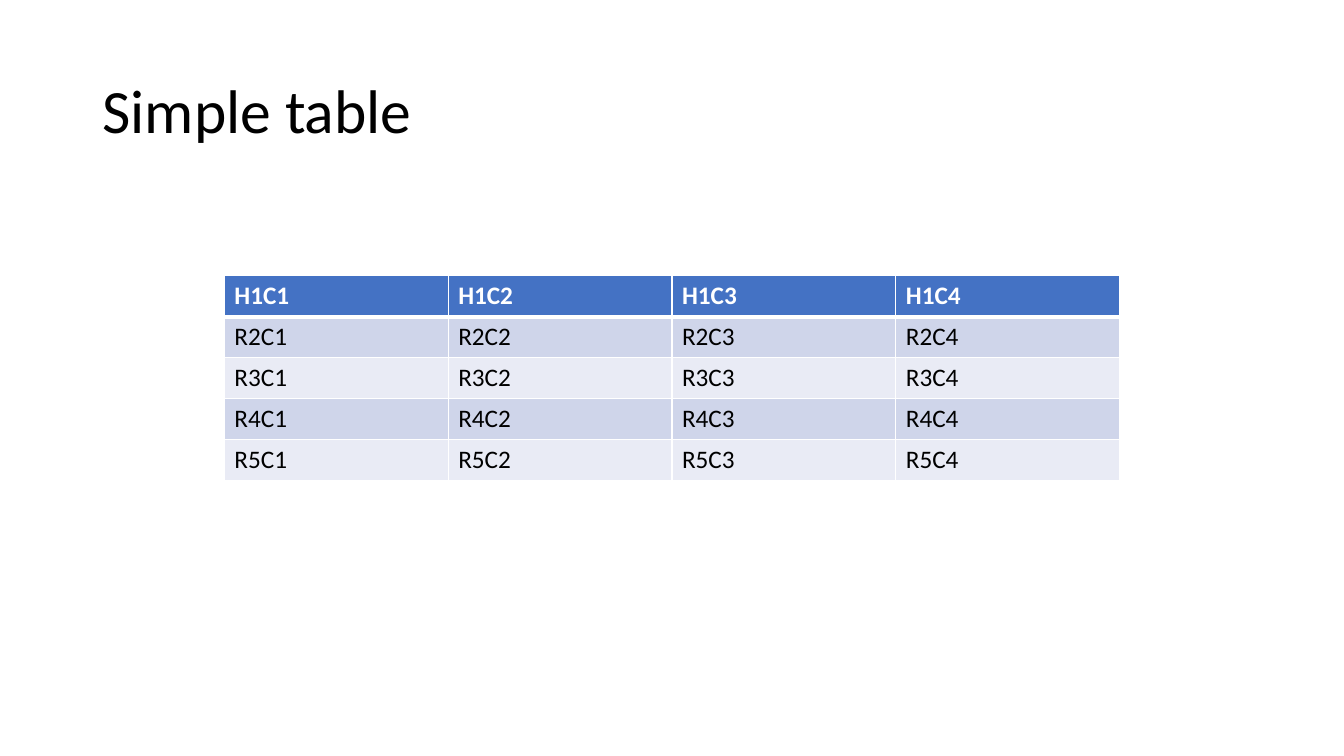
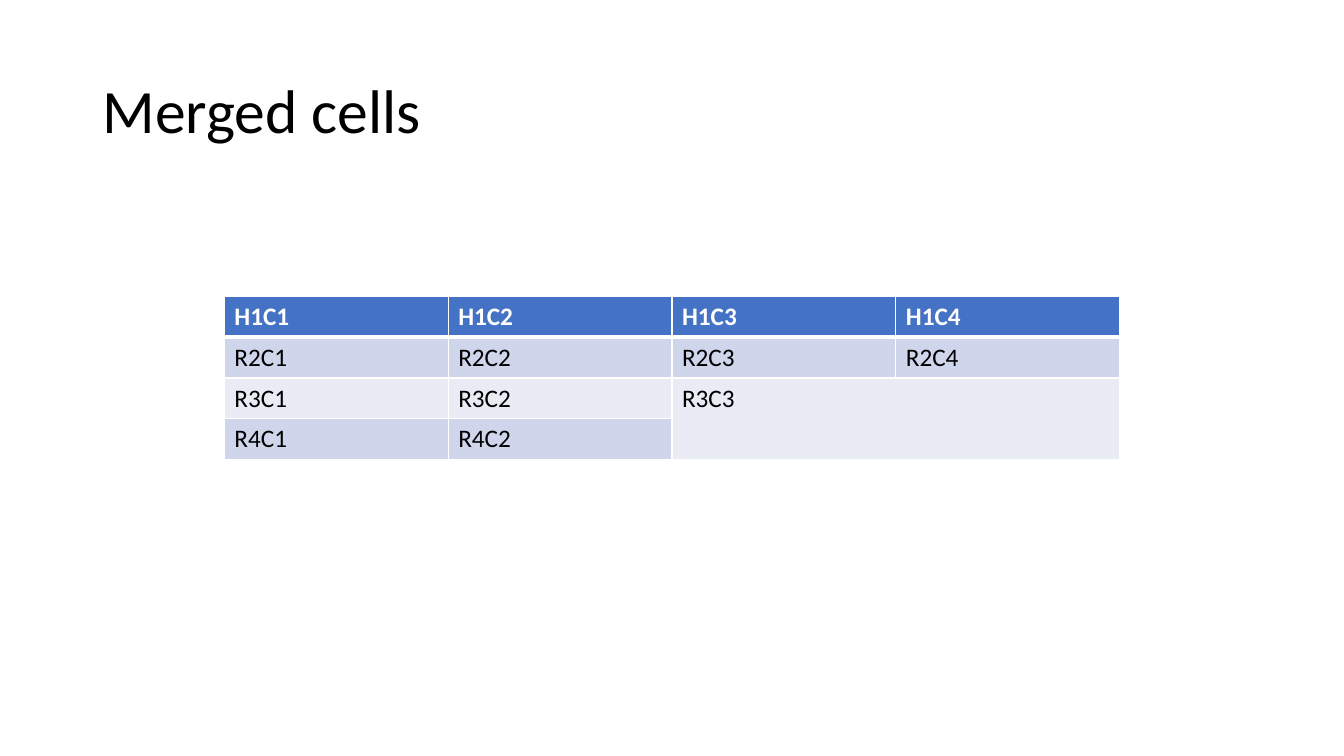
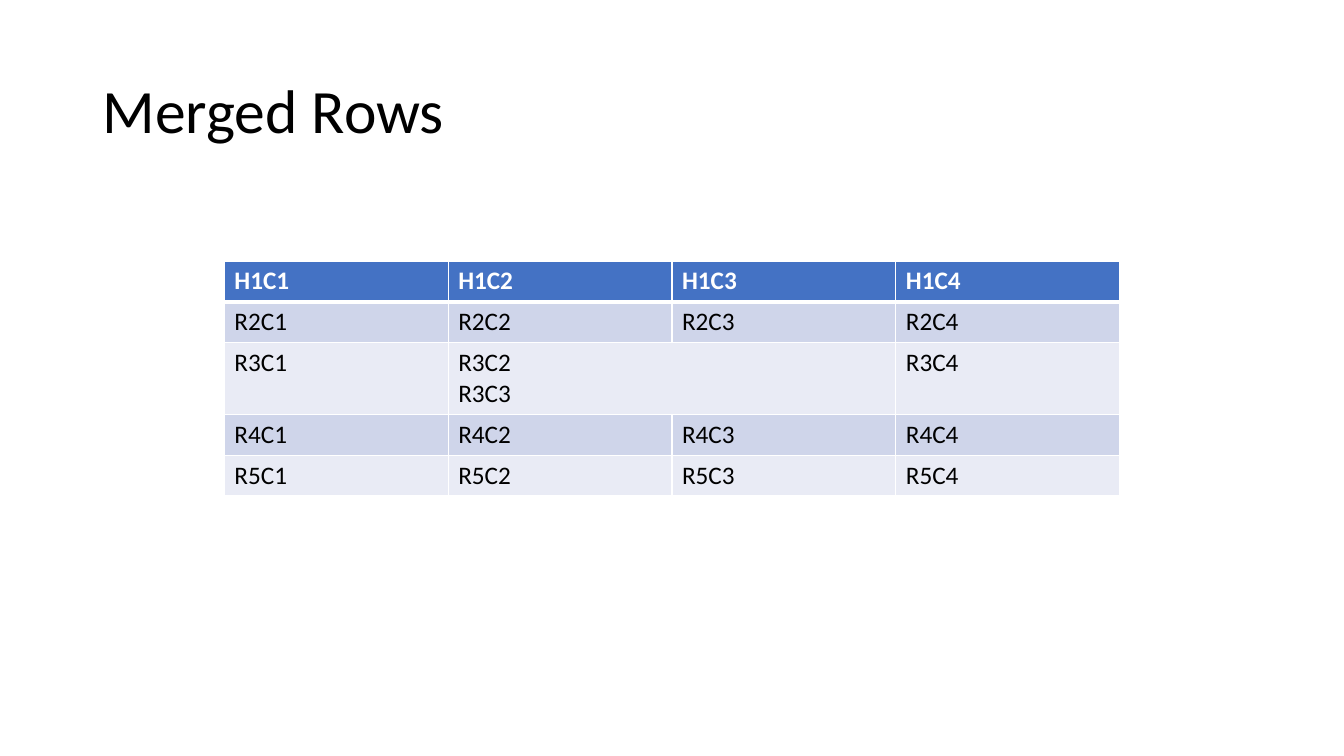
import dataclasses
import pptx
import pptx.dml.color
import pptx.enum.text
import pptx.oxml
import pptx.oxml.ns
import pptx.util

Cm = pptx.util.Cm
Pt = pptx.util.Pt
COLUMN_COUNT = 4


@dataclasses.dataclass(frozen=True)
class Theme:
    font: str = "Calibri"
    title_size: int = 44
    table_size: int = 18
    text: str = "000000"
    header_text: str = "FFFFFF"
    header_fill: str = "4472C4"
    band_fills: tuple = ("CFD5EA", "E9EBF5")
    border: str = "FFFFFF"
    thin_border: int = 1
    header_border: int = 3
    slide_width: int = Cm(33.87)
    slide_height: int = Cm(19.05)
    title_box: tuple = (Cm(2.33), Cm(1.01), Cm(29.21), Cm(3.68))
    column_width: int = Cm(5.64)
    row_height: int = Cm(1.03)
    extra_line: int = Cm(0.75)


@dataclasses.dataclass(frozen=True)
class Merge:
    first: tuple
    last: tuple
    text: str


THEME = Theme()


def format_paragraph(paragraph, size, color, bold=False):
    font = paragraph.font
    font.name = THEME.font
    font.size = Pt(size)
    font.bold = bold
    font.color.rgb = pptx.dml.color.RGBColor.from_string(color)


def add_titled_slide(presentation, title):
    slide = presentation.slides.add_slide(presentation.slide_layouts[5])
    shape = slide.shapes.title
    shape.left, shape.top, shape.width, shape.height = THEME.title_box
    frame = shape.text_frame
    frame.text = title
    frame.word_wrap = True
    frame.auto_size = pptx.enum.text.MSO_AUTO_SIZE.NONE
    frame.vertical_anchor = pptx.enum.text.MSO_ANCHOR.MIDDLE
    paragraph = frame.paragraphs[0]
    paragraph.alignment = pptx.enum.text.PP_ALIGN.LEFT
    paragraph.line_spacing = 0.9
    format_paragraph(paragraph, THEME.title_size, THEME.text)
    return slide


def set_borders(cell, row):
    widths = {"L": THEME.thin_border, "R": THEME.thin_border,
              "T": THEME.header_border if row == 1 else THEME.thin_border,
              "B": THEME.header_border if row == 0 else THEME.thin_border}
    properties = cell._tc.get_or_add_tcPr()
    for side, width in widths.items():
        properties.append(pptx.oxml.parse_xml(
            f'<a:ln{side} {pptx.oxml.ns.nsdecls("a")} w="{Pt(width)}">'
            f'<a:solidFill><a:srgbClr val="{THEME.border}"/></a:solidFill></a:ln{side}>'))


def format_cell(cell, row):
    is_header = row == 0
    set_borders(cell, row)
    cell.fill.solid()
    fill = THEME.header_fill if is_header else THEME.band_fills[(row - 1) % 2]
    cell.fill.fore_color.rgb = pptx.dml.color.RGBColor.from_string(fill)
    color = THEME.header_text if is_header else THEME.text
    for paragraph in cell.text_frame.paragraphs:
        format_paragraph(paragraph, THEME.table_size, color, is_header)


def cell_label(row, column):
    return f"{'R' if row else 'H'}{row + 1}C{column + 1}"


def add_centred_table(slide, row_count, merge=None):
    width = THEME.column_width * COLUMN_COUNT
    frame = slide.shapes.add_table(
        row_count, COLUMN_COUNT, (THEME.slide_width - width) // 2, 0,
        width, THEME.row_height * row_count)
    table = frame.table
    if merge:
        table.cell(*merge.first).merge(table.cell(*merge.last))
        table.rows[merge.first[0]].height += THEME.extra_line * merge.text.count("\n")
    for row in range(row_count):
        for column in range(COLUMN_COUNT):
            cell = table.cell(row, column)
            if cell.is_merge_origin:
                cell.text = merge.text
            elif not cell.is_spanned:
                cell.text = cell_label(row, column)
            format_cell(cell, row)
    frame.top = (THEME.slide_height - frame.height) // 2


def main():
    presentation = pptx.Presentation()
    presentation.slide_width = THEME.slide_width
    presentation.slide_height = THEME.slide_height
    slides = (
        ("Simple table", 5, None),
        ("Merged cells", 4, Merge((2, 2), (3, 3), "R3C3")),
        ("Merged Rows", 5, Merge((2, 1), (2, 2), "R3C2\nR3C3")),
    )
    for title, row_count, merge in slides:
        add_centred_table(add_titled_slide(presentation, title), row_count, merge)
    presentation.save("out.pptx")


if __name__ == "__main__":
    main()
